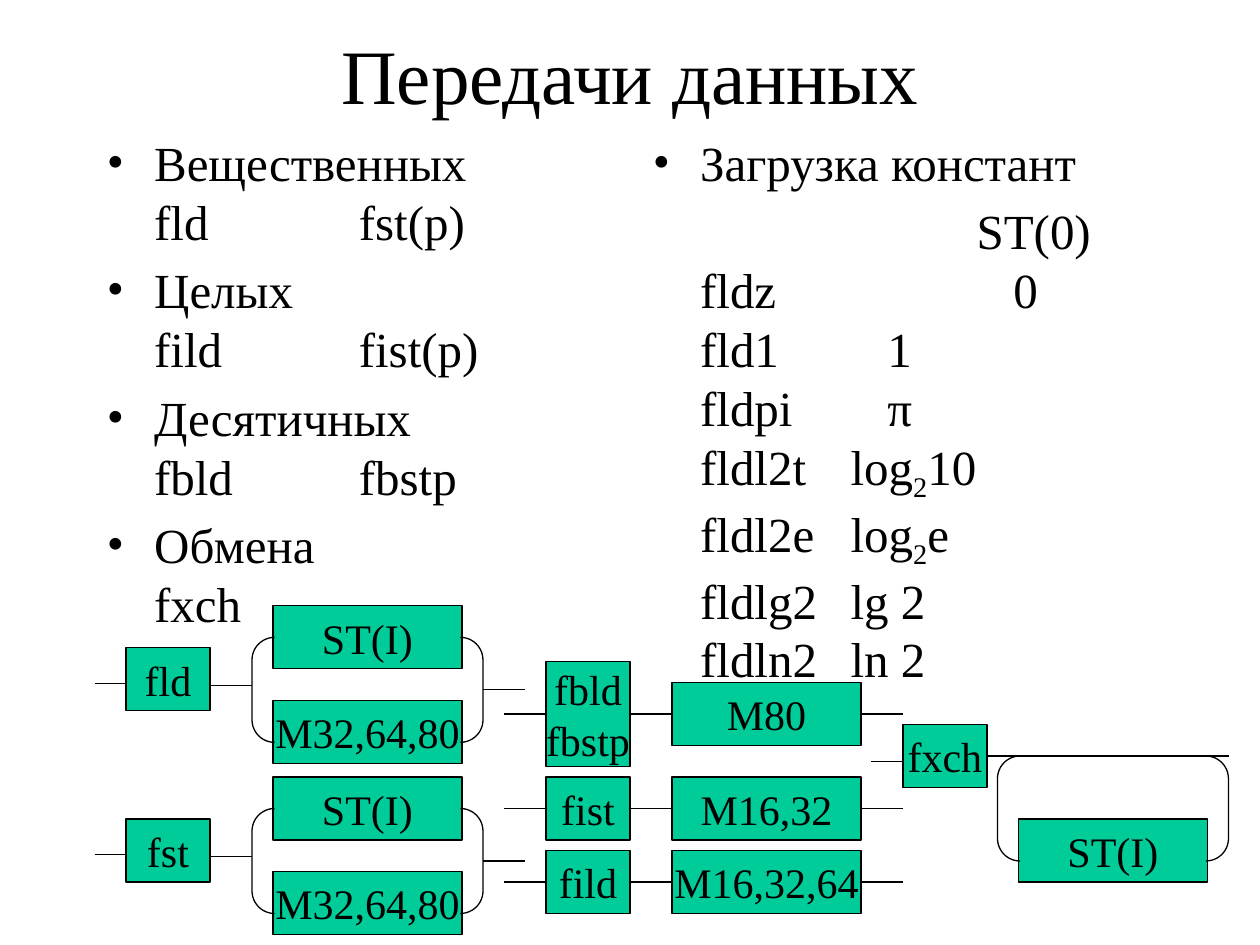
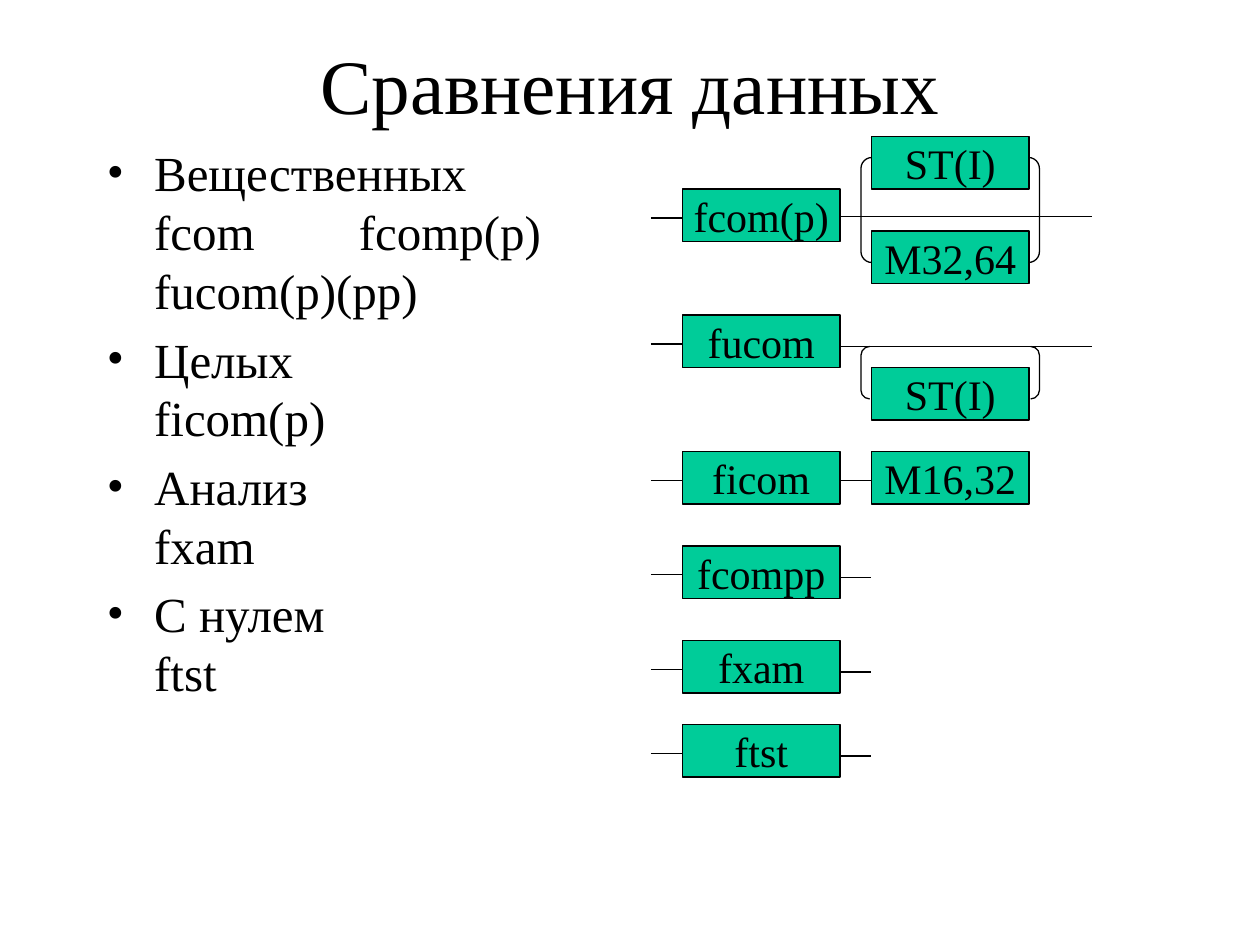
"""Two slides on coprocessor instructions: lists beside syntax diagrams."""
import dataclasses

import pptx
import pptx.dml.color
import pptx.enum.shapes
import pptx.enum.text
import pptx.oxml.ns
import pptx.util
from lxml import etree

SHAPE = pptx.enum.shapes.MSO_SHAPE
ALIGN = pptx.enum.text.PP_ALIGN
ANCHOR = pptx.enum.text.MSO_ANCHOR
qn = pptx.oxml.ns.qn


@dataclasses.dataclass(frozen=True)
class Theme:
    """Colours, font and type sizes of the deck."""
    ink: str = "000000"
    box: str = "00CC99"
    font: str = "Times New Roman"
    title: int = 44
    body: int = 28
    label: int = 24
    stroke: float = 0.75


def cell(n):
    """Turn grid cells, twelve to the inch, into a length."""
    return pptx.util.Inches(n / 12)


def rgb(code):
    """Make a colour from its hex code."""
    return pptx.dml.color.RGBColor.from_string(code)


class Deck:
    """Draws on the current slide; places are columns and rows of the grid."""

    def __init__(self, theme):
        """Start an empty deck of 120 columns by 90 rows."""
        self.t = theme
        self.prs = pptx.Presentation()
        self.prs.slide_width, self.prs.slide_height = cell(120), cell(90)
        self.s = None

    def style(self, p, size):
        """Format every run of a paragraph."""
        for r in p.runs:
            r.font.size = pptx.util.Pt(size)
            r.font.name = self.t.font
            r.font.color.rgb = rgb(self.t.ink)

    def stroke(self, line):
        """Give an outline or a connector the common pen."""
        line.color.rgb = rgb(self.t.ink)
        line.width = pptx.util.Pt(self.t.stroke)

    def slide(self, title, row):
        """Add a slide whose title starts at the row."""
        self.s = self.prs.slides.add_slide(self.prs.slide_layouts[5])
        sp = self.s.shapes.title
        sp.left, sp.top, sp.width, sp.height = map(cell, (9, row, 102, 8))
        tf = sp.text_frame
        tf.text = title
        tf.auto_size = pptx.enum.text.MSO_AUTO_SIZE.NONE
        tf.vertical_anchor = ANCHOR.MIDDLE
        tf.paragraphs[0].alignment = ALIGN.CENTER
        self.style(tf.paragraphs[0], self.t.title)

    def body(self, col, row, height, bullets, table=None):
        """Add a bulleted list, then an unbulleted paragraph if given."""
        sp = self.s.shapes.add_textbox(*map(cell, (col, row, 50, height)))
        tf = sp.text_frame
        tf.word_wrap = True
        items = [(b, True) for b in bullets] + ([(table, False)] if table else [])
        for i, (text, bulleted) in enumerate(items):
            p = tf.add_paragraph() if i else tf.paragraphs[0]
            self.fill_paragraph(p, text)
            p.space_before = pptx.util.Pt(self.t.body * 0.2)
            pPr = p._p.get_or_add_pPr()
            indent = cell(4.5)
            pPr.set("marL", str(indent))
            pPr.set("indent", str(-indent))
            pPr.set("defTabSz", str(cell(12)))
            if bulleted:
                etree.SubElement(pPr, qn("a:buFont")).set("typeface", self.t.font)
                etree.SubElement(pPr, qn("a:buChar")).set("char", "•")

    def fill_paragraph(self, p, text):
        """Write text with line breaks; parts between bars are subscripts."""
        subscripts = []
        for i, part in enumerate(text.split("|")):
            for j, line in enumerate(part.split("\n")):
                if j:
                    p.add_line_break()
                if line:
                    r = p.add_run()
                    r.text = line
                    if i % 2:
                        subscripts.append(r)
        self.style(p, self.t.body)
        for r in subscripts:
            r.font._element.set("baseline", "-25000")

    def box(self, text, col, row, width, height):
        """Add a labelled box."""
        sp = self.s.shapes.add_shape(SHAPE.RECTANGLE, *map(cell, (col, row, width, height)))
        sp.shadow.inherit = False
        sp.fill.solid()
        sp.fill.fore_color.rgb = rgb(self.t.box)
        self.stroke(sp.line)
        tf = sp.text_frame
        tf.text = text
        tf.word_wrap = False
        tf.vertical_anchor = ANCHOR.MIDDLE
        for p in tf.paragraphs:
            p.alignment = ALIGN.CENTER
            self.style(p, self.t.label)

    def bracket(self, col, row, width, height, bend):
        """Add the rounded pair of brackets that joins branches."""
        sp = self.s.shapes.add_shape(SHAPE.DOUBLE_BRACKET,
                                     *map(cell, (col, row, width, height)))
        sp.adjustments[0] = bend
        sp.shadow.inherit = False
        sp.fill.background()
        self.stroke(sp.line)

    def wire(self, start, end, row):
        """Add a horizontal line between two columns."""
        c = self.s.shapes.add_connector(pptx.enum.shapes.MSO_CONNECTOR.STRAIGHT,
                                        *map(cell, (start, row, end, row)))
        self.stroke(c.line)
        etree.SubElement(c._element.spPr, qn("a:effectLst"))

    def branch(self, name, row):
        """Draw a command that takes a register or memory."""
        self.box(name, 12, row + 4, 8, 6)
        self.box("M32,64,80", 26, row + 9, 18, 6)
        self.box("ST(I)", 26, row, 18, 6)
        self.bracket(24, row + 3, 22, 10, 0.215)
        for start, end, drop in ((9, 12, 7.4), (20, 24, 7.6), (46, 50, 8)):
            self.wire(start, end, row + drop)

    def memory(self, name, operand, middle, height=6):
        """Draw a command followed by its memory operand."""
        self.box(name, 52, middle - height / 2, 8, height)
        self.box(operand, 64, middle - 3, 18, 6)
        for start in (48, 60, 82):
            self.wire(start, start + 4, middle)

    def command(self, name, row):
        """Draw a command of the comparison slide with its input line."""
        self.box(name, 65, row, 15, 5)
        self.wire(62, 65, row + 2.75)

    def operand(self, name, row):
        """Draw an operand of the comparison slide."""
        self.box(name, 83, row, 15, 5)


def transfers(d):
    """Build the slide on data transfers."""
    d.slide("Передачи данных", 3)
    d.body(9, 12, 68, ["Вещественных\nfld\t\tfst(p)", "Целых\nfild\t\tfist(p)",
                       "Десятичных\nfbld\tfbstp", "Обмена\nfxch"])
    d.body(61, 12, 68, ["Загрузка констант"],
           "\t\t\t  ST(0)\nfldz\t\t     0\nfld1\t     1\nfldpi\t     π \n"
           "fldl2t\t  log|2|10\nfldl2e\t  log|2|e\nfldlg2\t  lg 2\nfldln2\t  ln 2")
    d.branch("fld", 57.7)
    d.memory("fild", "M16,32,64", 84)
    d.memory("fbld\nfbstp", "M80", 68, 10)
    d.memory("fist", "M16,32", 77)
    d.branch("fst", 74)
    d.box("fxch", 86, 69, 8, 6)
    d.box("ST(I)", 97, 78, 18, 6)
    d.bracket(95, 72, 22, 10, 0.215)
    d.wire(83, 86, 72.5)
    d.wire(94, 117, 72)


def comparisons(d):
    """Build the slide on comparisons."""
    d.slide("Сравнения данных", 4)
    d.body(9, 13, 67, ["Вещественных\nfcom\tfcomp(p)\nfucom(p)(pp)", "Целых\nficom(p)",
                       "Анализ\nfxam", "С нулем\nftst"])
    d.command("fcom(p)", 18)
    d.operand("ST(I)", 13)
    d.operand("M32,64", 22)
    d.bracket(82, 15, 17, 10, 0.104)
    d.wire(80, 104, 20.6)
    d.command("fucom", 30)
    d.operand("ST(I)", 35)
    d.bracket(82, 33, 17, 5, 0.167)
    d.wire(80, 104, 33)
    d.command("ficom", 43)
    d.operand("M16,32", 43)
    d.wire(80, 83, 45.75)
    for name, row in (("fcompp", 52), ("fxam", 61), ("ftst", 69)):
        d.command(name, row)
        d.wire(80, 83, row + 3)


deck = Deck(Theme())
transfers(deck)
comparisons(deck)
deck.prs.save("out.pptx")
